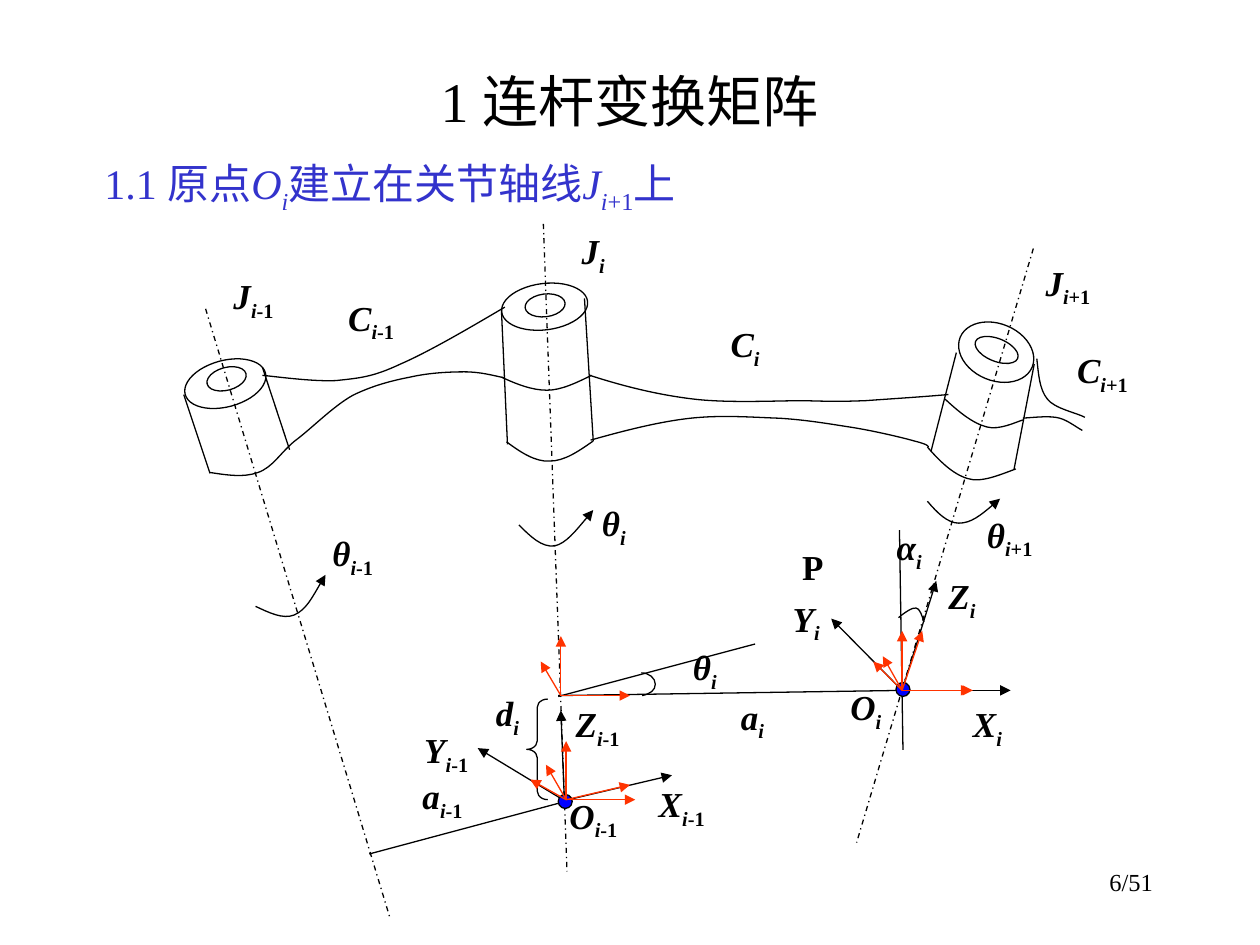
from dataclasses import dataclass

import pptx
import pptx.dml.color
import pptx.enum.dml
import pptx.enum.shapes
import pptx.enum.text
import pptx.oxml
import pptx.oxml.ns
import pptx.util

Pt = pptx.util.Pt
qn = pptx.oxml.ns.qn
Shape = pptx.enum.shapes.MSO_SHAPE
Align = pptx.enum.text.PP_ALIGN
Anchor = pptx.enum.text.MSO_ANCHOR

COLOURS = {"ink": "000000", "heading": "3333CC", "origin": "0000FF", "frame": "FF3300"}
FONT = "Times New Roman"
LINE_WIDTH = 0.75
LABEL_SIZE = (42, 35)
ORIGIN_DIAMETER = 8


@dataclass
class Run:
    text: str
    italic: bool = False
    sub: bool = False


@dataclass
class Label:
    x: float
    y: float
    symbol: str
    offset: str = ""


@dataclass
class Ring:
    box: tuple[float, float, float, float]
    rotation: float


@dataclass
class Curve:
    """A start point and Bezier segments, each of two control points and an end."""
    start: tuple[float, float]
    segments: list[tuple[float, ...]]
    arrow: bool = False


@dataclass
class Rays:
    """Lines that leave one start point."""
    start: tuple[float, float]
    ends: list[tuple[float, float]]
    colour: str = "ink"
    arrow: bool = True


LABELS = [
    Label(331, 130.5, "J"), Label(132, 156, "J", "-1"), Label(596, 148.5, "J", "+1"),
    Label(197.5, 168.5, "C", "-1"), Label(416, 183.5, "C"), Label(614, 198.5, "C", "+1"),
    Label(282, 394.5, "d"), Label(240, 442, "a", "-1"), Label(422, 396.5, "a"),
    Label(394.5, 368, "θ"), Label(511, 299.5, "α"), Label(342.5, 286, "θ"),
    Label(188.5, 303, "θ", "-1"), Label(562.5, 292.5, "θ", "+1"),
    Label(540.5, 327.5, "Z"), Label(554.5, 401, "X"), Label(484.5, 391, "O"),
    Label(451.5, 340.5, "Y"), Label(327.5, 401, "Z", "-1"), Label(375, 446.5, "X", "-1"),
    Label(324, 453, "O", "-1"), Label(241, 415.5, "Y", "-1"),
]
JOINT_RINGS = [
    Ring((118, 210, 23, 13), 345), Ring((105, 206, 47.5, 26.5), 345),
    Ring((300, 168, 23, 13), 352.9), Ring((286.5, 162, 49.5, 26.5), 352.9),
    Ring((556.5, 193.5, 26, 13), 21.8), Ring((547, 185, 44.5, 32.5), 22.6),
]
JOINT_SIDES = [
    (105, 225.5, 120, 270.5), (150, 210, 165.5, 257), (286.5, 176.5, 290, 254),
    (334, 170.5, 339, 252), (546.5, 201.5, 532, 258), (591, 208, 579.5, 268),
]
JOINT_AXES = [(117.5, 176.5, 223, 525), (310.5, 128, 324, 498), (590.5, 142, 489.5, 481.5)]
CONSTRUCTION_LINES = [
    (211, 488, 323, 458), (319, 397.5, 517, 394.5),
    (514, 303, 516, 428.5), (319, 398, 431.5, 368),
]
JOINT_CURVES = [
    Curve((286.5, 215.5), [(295, 219.5, 304, 223, 312.5, 223), (320.5, 223, 329, 219, 338, 214.5)]),
    Curve((289.5, 252.5), [(297.5, 258.5, 306, 264, 314, 263.5), (322.5, 263.5, 330.5, 258, 339, 252)]),
    Curve((540, 228), [(548, 235.5, 556, 242, 564, 244), (571, 246, 581, 241, 584.5, 240)]),
    Curve((530, 255.5), [(537, 263.5, 544.5, 271, 553, 273.5), (560.5, 276, 571, 271.5, 580.5, 268)]),
]
LINK_CURVES = [
    Curve((120, 270), [
        (129.5, 271.5, 139.5, 273, 147.5, 270), (156, 267, 160, 259, 168.5, 252),
        (178, 245, 190, 232.5, 201.5, 226), (212.5, 220.5, 224, 217.5, 234.5, 215.5),
        (245.5, 213, 257, 212.5, 265.5, 212.5), (274.5, 212.5, 281.5, 214.5, 288.5, 216)]),
    Curve((150, 214.5), [
        (164, 216, 179.5, 218, 192, 217.5), (206, 216, 213, 215.5, 229, 208),
        (245, 201, 266.5, 188.5, 288.5, 175.5)]),
    Curve((337, 214.5), [
        (355.5, 220.5, 375, 225.5, 395.5, 228), (415.5, 230.5, 443.5, 229, 459.5, 229),
        (476, 229.5, 481, 229.5, 494.5, 229), (508.5, 228, 525, 227, 542, 225.5)]),
    Curve((337.5, 251.5), [
        (357, 246, 376.5, 241, 394.5, 239), (412.5, 237, 430.5, 238.5, 445.5, 239),
        (461, 240, 472.5, 242, 485.5, 244), (498.5, 246, 515.5, 250, 522.5, 252),
        (530.5, 254, 530.5, 255, 530.5, 255.5)]),
    Curve((592.5, 205), [(593.5, 214, 594, 222.5, 598.5, 228), (602.5, 233.5, 615.5, 236, 620, 238.5)]),
    Curve((584.5, 239), [(592, 238.5, 600, 237.5, 605.5, 239), (610.5, 240.5, 614, 243.5, 618.5, 246)]),
]
ANGLE_ARCS = [
    Curve((513.5, 353), [(517, 350, 521.5, 347, 523.5, 347.5), (525.5, 347.5, 527, 352, 528, 355.5)]),
    Curve((366.5, 384.5), [(371, 384.5, 374.5, 387.5, 374.5, 391), (374.5, 394.5, 371.5, 396.5, 367, 397.5)]),
    Curve((296.5, 300), [(303, 306.5, 309.5, 313, 317, 312), (323.5, 310.5, 331, 301, 339, 291.5)], True),
    Curve((146, 346.5), [(153.5, 350, 161.5, 354, 168, 351.5), (175, 348.5, 180, 338.5, 186, 328.5)], True),
    Curve((530, 286.5), [(535.5, 293, 541.5, 299, 548, 299), (555, 299, 563, 292.5, 571.5, 285)], True),
]
AXIS_RAYS = [
    Rays((515.5, 394.5), [(475, 353.5), (535, 332), (577.5, 394.5)]),
    Rays((322.5, 457.5), [(273, 427.5), (320.5, 406), (384, 443)]),
]
FRAME_RAYS = [
    Rays((323.5, 457), [(363, 457), (312, 437)], "frame"),
    Rays((320.5, 397.5), [(360, 397.5), (309, 378), (320.5, 363.5)], "frame"),
    Rays((515.5, 394.5), [(556, 394.5), (504.5, 375), (515.5, 360.5)], "frame"),
    Rays((515.5, 394.5), [(555, 394.5), (499, 378), (527, 360.5)], "frame"),
    Rays((323.5, 457), [(360, 448.5), (303, 445.5), (323.5, 423.5)], "frame"),
]
ORIGINS = [(516, 394), (323, 458)]


def rgb(name: str) -> pptx.dml.color.RGBColor:
    return pptx.dml.color.RGBColor.from_string(COLOURS[name])


def style_line(line, colour: str = "ink", arrow: bool = False) -> None:
    line.color.rgb = rgb(colour)
    line.width = Pt(LINE_WIDTH)
    if arrow:
        tail = line._get_or_add_ln().makeelement(qn("a:tailEnd"), {"type": "triangle"})
        line._get_or_add_ln().append(tail)


def add_line(slide, ends, colour: str = "ink", arrow: bool = False, dashed: bool = False) -> None:
    straight = pptx.enum.shapes.MSO_CONNECTOR.STRAIGHT
    connector = slide.shapes.add_connector(straight, *map(Pt, ends))
    if dashed:
        connector.line.dash_style = pptx.enum.dml.MSO_LINE.DASH_DOT
    style_line(connector.line, colour, arrow)
    properties = connector._element.spPr
    properties.append(properties.makeelement(qn("a:effectLst"), {}))


def add_shape(slide, kind, box, rotation: float = 0, fill: str = ""):
    shape = slide.shapes.add_shape(kind, *map(Pt, box))
    shape.rotation = rotation
    shape.shadow.inherit = False
    if fill:
        shape.fill.solid()
        shape.fill.fore_color.rgb = rgb(fill)
    else:
        shape.fill.background()
    style_line(shape.line)
    return shape


def add_curve(slide, curve: Curve) -> None:
    """Build the control polygon, then turn every three vertices into a Bezier."""
    builder = slide.shapes.build_freeform(*map(Pt, curve.start))
    points = [(Pt(s[k]), Pt(s[k + 1])) for s in curve.segments for k in (0, 2, 4)]
    builder.add_line_segments(points, close=False)
    shape = builder.convert_to_shape()
    vertices = list(shape._element.iter(qn("a:lnTo")))
    for first in range(0, len(vertices), 3):
        bezier = vertices[first].makeelement(qn("a:cubicBezTo"), {})
        vertices[first].addprevious(bezier)
        for vertex in vertices[first:first + 3]:
            bezier.append(vertex[0])
            vertex.getparent().remove(vertex)
    shape.shadow.inherit = False
    shape.fill.background()
    style_line(shape.line, arrow=curve.arrow)


def add_text(slide, box, runs: list[Run], *, size: float, colour: str = "ink", bold: bool = False,
             align=Align.LEFT, anchor=Anchor.TOP, insets=(7.2, 3.6)) -> None:
    frame = slide.shapes.add_textbox(*map(Pt, box)).text_frame
    frame.word_wrap = True
    frame.vertical_anchor = anchor
    frame.margin_left = frame.margin_right = Pt(insets[0])
    frame.margin_top = frame.margin_bottom = Pt(insets[1])
    paragraph = frame.paragraphs[0]
    paragraph.alignment = align
    for part in runs:
        run = paragraph.add_run()
        run.text = part.text
        run.font.name, run.font.size = FONT, Pt(size)
        run.font.bold, run.font.italic = bold, part.italic
        run.font.color.rgb = rgb(colour)
        if part.sub:
            run._r.get_or_add_rPr().set("baseline", "-25000")


def indexed(symbol: str, offset: str = "") -> list[Run]:
    """Runs of a symbol with the subscript i and an optional offset."""
    runs = [Run(symbol, italic=True), Run("i", italic=True, sub=True)]
    return runs + ([Run(offset, sub=True)] if offset else [])


def add_label(slide, x: float, y: float, runs: list[Run]) -> None:
    add_text(slide, (x, y, *LABEL_SIZE), runs, size=20, bold=True,
             align=Align.JUSTIFY, insets=(1.44, 0.72))


def add_rays(slide, rays: Rays) -> None:
    for end in rays.ends:
        add_line(slide, (*rays.start, *end), rays.colour, rays.arrow)


def main() -> None:
    deck = pptx.Presentation()
    deck.slide_width, deck.slide_height = Pt(720), Pt(540)
    slide = deck.slides.add_slide(deck.slide_layouts[6])

    add_text(slide, (516, 492, 150, 36), [Run("6/51")], size=14, align=Align.RIGHT)
    add_text(slide, (54, 24, 612, 66), [Run("1 连杆变换矩阵")], size=32,
             align=Align.CENTER, anchor=Anchor.MIDDLE)

    for ring in JOINT_RINGS:
        add_shape(slide, Shape.OVAL, ring.box, ring.rotation)
    for curve in JOINT_CURVES + LINK_CURVES + ANGLE_ARCS:
        add_curve(slide, curve)
    for ends in JOINT_SIDES + CONSTRUCTION_LINES:
        add_line(slide, ends)
    for ends in JOINT_AXES:
        add_line(slide, ends, dashed=True)
    brace = add_shape(slide, Shape.LEFT_BRACE, (301, 399.5, 12, 57.5))
    brace.adjustments[0] = 0.4

    for label in LABELS:
        add_label(slide, label.x, label.y, indexed(label.symbol, label.offset))
    add_label(slide, 457, 311, [Run("P")])

    for rays in AXIS_RAYS:
        add_rays(slide, rays)
    for x, y in ORIGINS:
        radius = ORIGIN_DIAMETER / 2
        add_shape(slide, Shape.OVAL, (x - radius, y - radius, ORIGIN_DIAMETER, ORIGIN_DIAMETER),
                  fill="origin")
    for rays in FRAME_RAYS:
        add_rays(slide, rays)

    heading = [Run("1.1 原点"), *indexed("O"), Run("建立在关节轴线"), *indexed("J", "+1"), Run("上")]
    add_text(slide, (52.5, 86.5, 348, 36), heading, size=24, colour="heading")
    deck.save("out.pptx")


if __name__ == "__main__":
    main()
